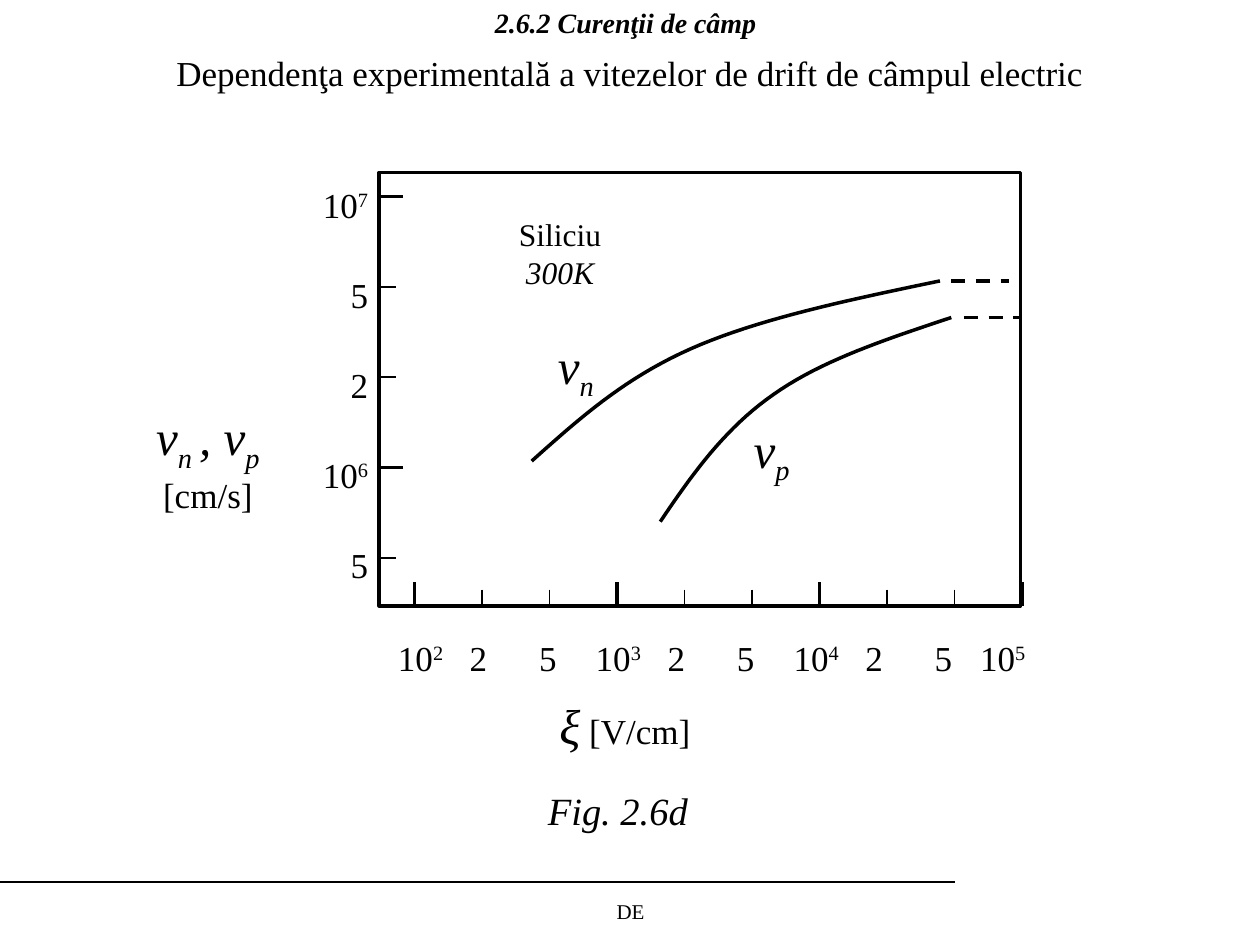
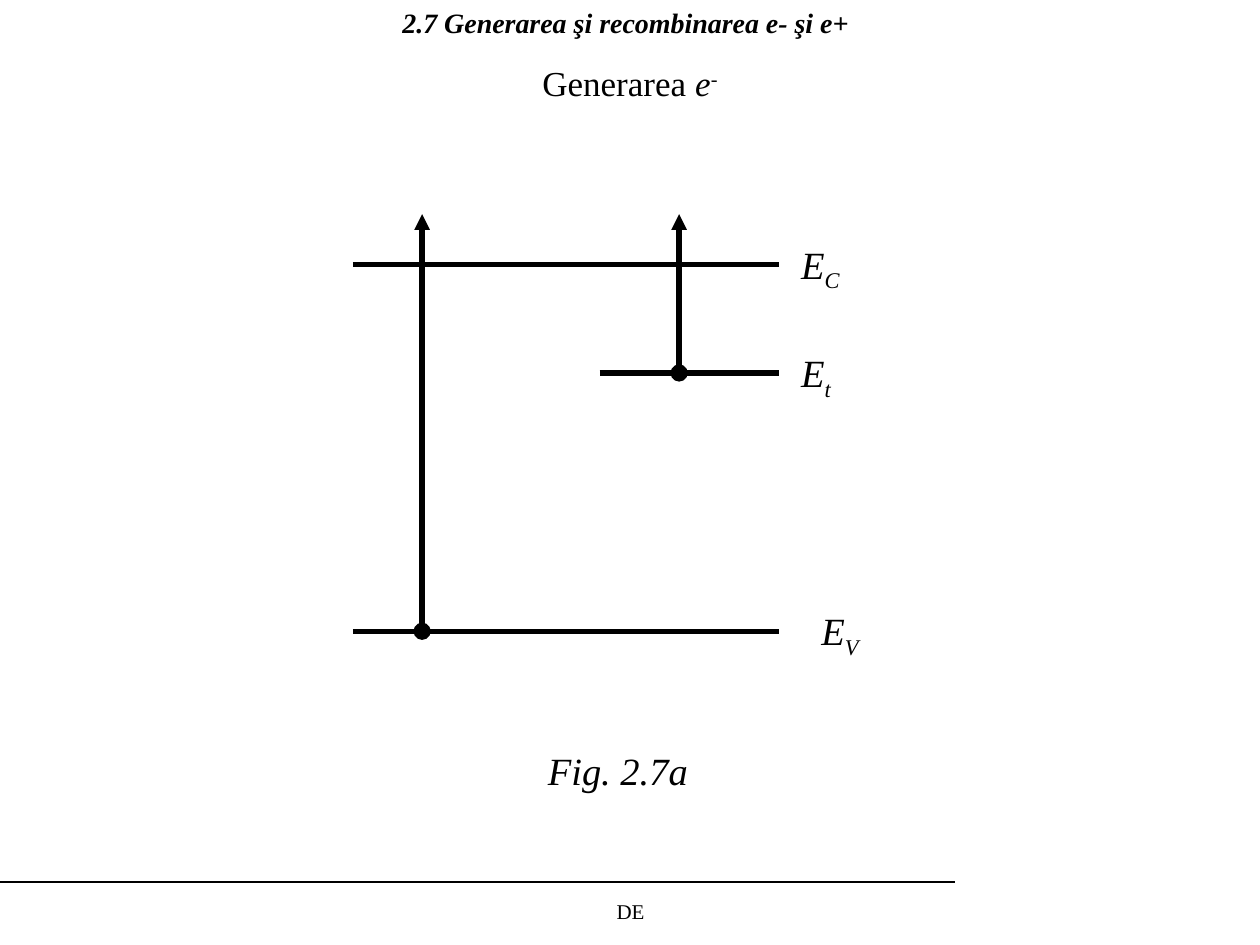
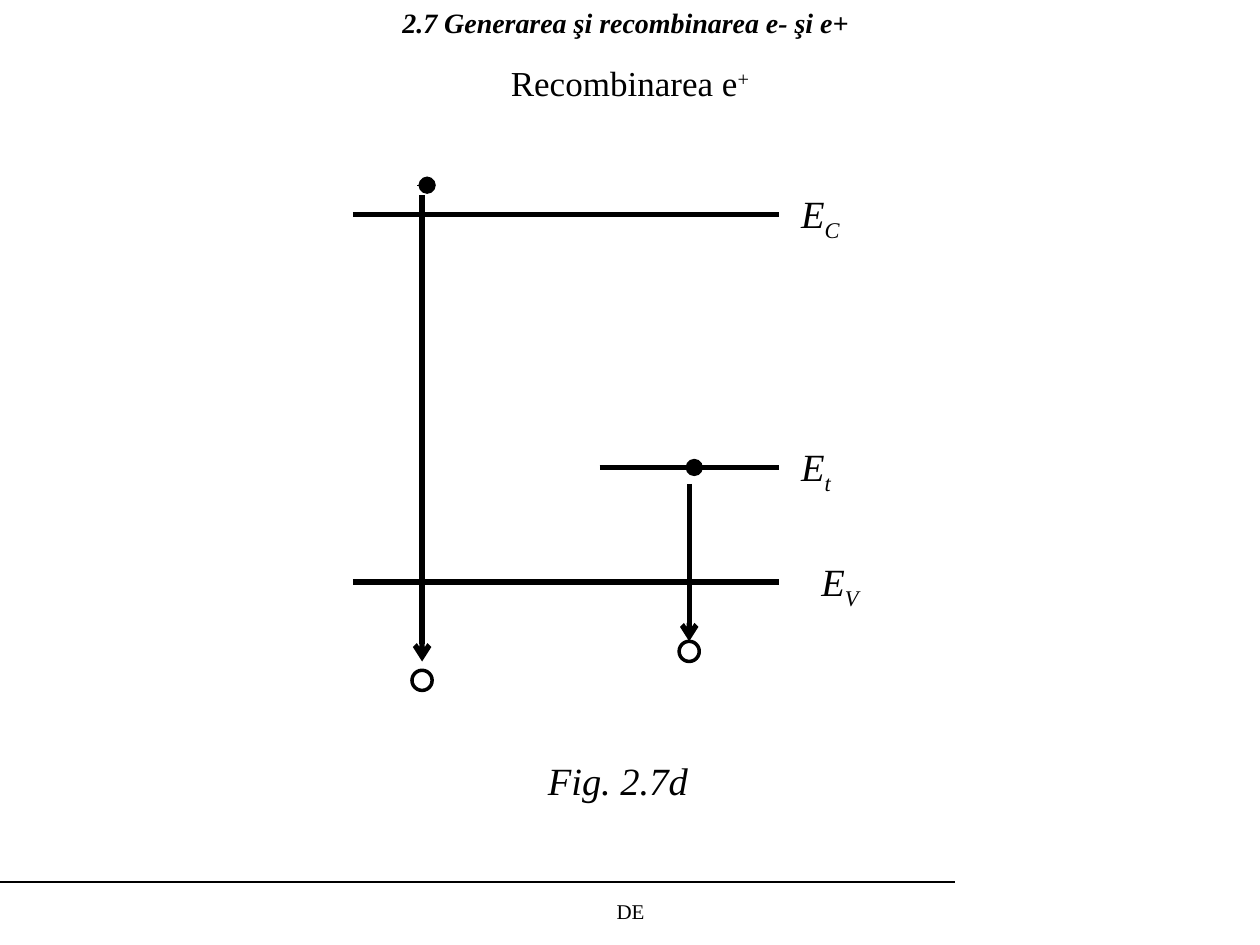
import dataclasses
import typing

import lxml.etree
import pptx
import pptx.dml.color
import pptx.enum.dml
import pptx.enum.shapes
import pptx.enum.text
import pptx.oxml.ns
import pptx.util

Inches = pptx.util.Inches
Pt = pptx.util.Pt
ALIGN = pptx.enum.text.PP_ALIGN
Point = tuple[float, float]


@dataclasses.dataclass(frozen=True)
class Theme:
    font: str = "Times New Roman"
    ink: pptx.dml.color.RGBColor = pptx.dml.color.RGBColor(0, 0, 0)
    paper: pptx.dml.color.RGBColor = pptx.dml.color.RGBColor(255, 255, 255)
    footer: int = 12
    title: int = 16
    note: int = 18
    text: int = 20
    figure: int = 22
    symbol: int = 28
    hairline: float = 0.75
    thin: float = 1
    medium: float = 2
    thick: float = 3


THEME = Theme()
SUPERSCRIPT, SUBSCRIPT = 30, -25


@dataclasses.dataclass(frozen=True)
class Span:
    text: str
    baseline: int = 0
    size: int | None = None
    italic: bool | None = None


@dataclasses.dataclass(frozen=True)
class Label:
    """A text box; each entry of lines is one paragraph of spans."""
    left: float
    top: float
    width: float
    height: float
    lines: tuple[tuple[Span, ...], ...]
    size: int = THEME.text
    italic: bool = False
    align: typing.Any = ALIGN.CENTER
    line_spacing: float = 1
    gap: float = 0
    tabs: tuple[float, ...] = ()


@dataclasses.dataclass(frozen=True)
class Line:
    start: Point
    end: Point
    width: float = THEME.thick
    tail: str = ""
    tail_size: str = "med"
    dashed: bool = False


@dataclasses.dataclass(frozen=True)
class Level:
    """An energy level with its name to the right."""
    left: float
    y: float
    index: str
    label_left: float = 6.26


# Shared drawing
def style_font(font, size: int, italic: bool, bold: bool = False) -> None:
    font.name = THEME.font
    font.size = Pt(size)
    font.italic = italic
    font.bold = bold
    font.color.rgb = THEME.ink


def add_tabs(para, stops: tuple[float, ...]) -> None:
    tab_list = lxml.etree.SubElement(para._p.get_or_add_pPr(), pptx.oxml.ns.qn("a:tabLst"))
    for stop in stops:
        lxml.etree.SubElement(tab_list, pptx.oxml.ns.qn("a:tab"),
                              pos=str(Inches(stop)), algn="l")


def draw_label(page, label: Label) -> None:
    box = page.shapes.add_textbox(Inches(label.left), Inches(label.top),
                                  Inches(label.width), Inches(label.height))
    frame = box.text_frame
    frame.word_wrap = True
    for index, spans in enumerate(label.lines):
        para = frame.add_paragraph() if index else frame.paragraphs[0]
        para.alignment = label.align
        para.line_spacing = label.line_spacing
        if index and label.gap:
            para.space_before = Pt(label.gap)
        if label.tabs:
            add_tabs(para, label.tabs)
        style_font(para.font, label.size, label.italic)
        for span in spans:
            run = para.add_run()
            run.text = span.text
            if span.size:
                run.font.size = Pt(span.size)
            if span.italic is not None:
                run.font.italic = span.italic
            if span.baseline:
                run.font._element.set("baseline", str(span.baseline * 1000))


def draw_line(page, line: Line) -> None:
    connector = page.shapes.add_connector(
        pptx.enum.shapes.MSO_CONNECTOR.STRAIGHT,
        *(Inches(value) for value in line.start + line.end))
    connector.line.color.rgb = THEME.ink
    connector.line.width = Pt(line.width)
    if line.dashed:
        connector.line.dash_style = pptx.enum.dml.MSO_LINE.DASH
    if line.tail:
        lxml.etree.SubElement(connector.line._get_or_add_ln(), pptx.oxml.ns.qn("a:tailEnd"),
                              type=line.tail, w=line.tail_size, len=line.tail_size)
    lxml.etree.SubElement(connector._element.spPr, pptx.oxml.ns.qn("a:effectLst"))


def draw_outline(shape, filled: bool = False) -> None:
    shape.shadow.inherit = False
    if filled:
        shape.fill.solid()
        shape.fill.fore_color.rgb = THEME.paper
    else:
        shape.fill.background()
    shape.line.color.rgb = THEME.ink
    shape.line.width = Pt(THEME.medium)


def add_page(deck, title: str, subtitle: Label, figure: str, figure_top: float):
    page = deck.slides.add_slide(deck.slide_layouts[5])
    box = page.shapes.title
    box.left, box.top, box.width, box.height = (
        Inches(value) for value in (0.32, 0, 9.29, 0.36))
    frame = box.text_frame
    frame.text = title
    frame.auto_size = pptx.enum.text.MSO_AUTO_SIZE.NONE
    frame.vertical_anchor = pptx.enum.text.MSO_ANCHOR.MIDDLE
    para = frame.paragraphs[0]
    para.alignment = ALIGN.CENTER
    style_font(para.font, THEME.title, italic=True, bold=True)

    draw_line(page, Line((0, 7), (7.58, 7), THEME.hairline))
    draw_label(page, Label(3.42, 7.08, 3.17, 0.27, ((Span("DE"),),), THEME.footer))
    draw_label(page, subtitle)
    draw_label(page, Label(4.25, figure_top, 1.49, 0.47, ((Span(figure),),),
                           THEME.figure, italic=True, align=ALIGN.LEFT))
    return page


# Drift velocity graph
PLOT_LEFT, PLOT_TOP, PLOT_WIDTH, PLOT_HEIGHT = 3.01, 1.37, 5.09, 3.44
PLOT_BOTTOM = PLOT_TOP + PLOT_HEIGHT


def power(exponent: str) -> tuple[Span, Span]:
    return Span("10"), Span(exponent, SUPERSCRIPT)


def draw_ticks(page) -> None:
    """Every third tick is a decade, drawn longer and heavier."""
    for index in range(10):
        major = index % 3 == 0
        width = THEME.medium if major else THEME.thin
        x = 3.29 + index * 4.82 / 9
        draw_line(page, Line((x, PLOT_BOTTOM - (0.19 if major else 0.13)),
                             (x, PLOT_BOTTOM), width))
        if index < 5:
            y = 1.56 + index * 2.87 / 4
            draw_line(page, Line((PLOT_LEFT + (0.19 if major else 0.13), y),
                                 (PLOT_LEFT, y), width))


def draw_curve(page, knots: tuple[Point, ...], steps: int = 20) -> None:
    """Draw joined cubic curves: a start, then three points for each curve."""
    points = []
    for first in range(0, len(knots) - 1, 3):
        a, b, c, d = knots[first:first + 4]
        for step in range(1, steps + 1):
            t = step / steps
            u = 1 - t
            points.append(tuple(
                Inches(u**3 * a[k] + 3 * u * u * t * b[k] + 3 * u * t * t * c[k] + t**3 * d[k])
                for k in (0, 1)))
    builder = page.shapes.build_freeform(Inches(knots[0][0]), Inches(knots[0][1]))
    builder.add_line_segments(points, close=False)
    draw_outline(builder.convert_to_shape())


def axis_labels() -> tuple[Label, Label]:
    spans: list[Span] = []
    tabs: list[float] = []
    for decade, exponent in enumerate("234"):
        spans += [Span("\t10"), Span(exponent, SUPERSCRIPT), Span("\t2\t5")]
        tabs += [decade * 1.57 + offset for offset in (0.14, 0.71, 1.26)]
    spans += [Span("\t10"), Span("5", SUPERSCRIPT)]
    field = Label(2.92, 5, 5.47, 0.44, (tuple(spans),), align=ALIGN.LEFT,
                  tabs=(*tabs, 4.76))
    velocity = Label(2.09, 1.39, 0.93, 3.25,
                     (power("7"), (Span("5"),), (Span("2"),), power("6"), (Span("5"),)),
                     align=ALIGN.RIGHT, line_spacing=1.05, gap=26.15)
    return field, velocity


def build_drift_page(deck) -> None:
    page = add_page(
        deck, "2.6.2 Curenţii de câmp",
        Label(0, 0.36, 10, 0.77,
              ((Span("Dependenţa experimentală a vitezelor de drift de câmpul electric"),),)),
        "Fig. 2.6d", 6.2)
    plot = page.shapes.add_shape(
        pptx.enum.shapes.MSO_SHAPE.RECTANGLE, Inches(PLOT_LEFT), Inches(PLOT_TOP),
        Inches(PLOT_WIDTH), Inches(PLOT_HEIGHT))
    draw_outline(plot)
    draw_ticks(page)

    # Measured curves and their saturated ends
    draw_curve(page, ((4.22, 3.66), (4.58, 3.34), (4.94, 3.01), (5.48, 2.77),
                      (6.02, 2.53), (6.74, 2.38), (7.46, 2.23)))
    draw_curve(page, ((5.24, 4.14), (5.49, 3.77), (5.75, 3.4), (6.14, 3.13),
                      (6.52, 2.86), (7.04, 2.69), (7.55, 2.52)))
    for x, y in ((7.55, 2.23), (7.65, 2.52)):
        draw_line(page, Line((x, y), (x + 0.46, y), THEME.medium, dashed=True))

    # Names of axes and curves
    nu = Span("ν")
    labels = (
        *axis_labels(),
        Label(4.29, 5.47, 1.34, 0.57,
              ((Span("ξ", italic=True), Span(" [V/cm]", size=THEME.text)),), THEME.symbol),
        Label(0.98, 3.18, 1.34, 0.97,
              ((nu, Span("n ", SUBSCRIPT), Span(", ν"), Span("p", SUBSCRIPT)),
               (Span("[cm/s]", size=THEME.text, italic=False),)),
              THEME.symbol, italic=True),
        Label(3.66, 1.66, 1.57, 0.7,
              ((Span("Siliciu"),), (Span("300K", italic=True),)), THEME.note),
        Label(4.06, 2.61, 1.02, 0.63, ((nu, Span("n", SUBSCRIPT)),),
              THEME.symbol, italic=True),
        Label(5.71, 3.28, 0.83, 0.63, ((nu, Span("p", SUBSCRIPT)),),
              THEME.symbol, italic=True),
    )
    for label in labels:
        draw_label(page, label)


# Energy level diagrams
def draw_level(page, level: Level) -> None:
    draw_line(page, Line((level.left, level.y), (6.18, level.y)))
    draw_label(page, Label(level.label_left, level.y - 0.24, 1.49, 0.52,
                           ((Span("E"), Span(level.index, SUBSCRIPT)),),
                           THEME.figure, italic=True, align=ALIGN.LEFT))


def draw_electron(page, x: float, y: float) -> None:
    draw_line(page, Line((x - 0.08, y), (x, y), THEME.hairline, "oval", "lg"))


def draw_hole(page, x: float, top: float) -> None:
    hole = page.shapes.add_shape(pptx.enum.shapes.MSO_SHAPE.OVAL, Inches(x - 0.08),
                                 Inches(top), Inches(0.16), Inches(0.16))
    draw_outline(hole, filled=True)


def build_level_page(deck, process: tuple[Span, ...], figure: str, figure_top: float,
                     conduction: float, trap: float, valence: float):
    page = add_page(deck, "2.7 Generarea şi recombinarea e- şi e+",
                    Label(0, 0.44, 10, 0.44, (process,)), figure, figure_top)
    for level in (Level(2.8, conduction, "C"), Level(4.76, trap, "t"),
                  Level(2.8, valence, "V", 6.42)):
        draw_level(page, level)
    return page


def build_generation_page(deck) -> None:
    page = build_level_page(
        deck, (Span("Generarea "), Span("e", italic=True),
               Span("-", SUPERSCRIPT, italic=True)),
        "Fig. 2.7a", 5.88, conduction=2.1, trap=2.96, valence=5.01)
    for x, y in ((3.35, 5.01), (5.39, 2.96)):
        draw_line(page, Line((x, y), (x, 1.7), tail="triangle"))
        draw_electron(page, x, y)


def build_recombination_page(deck) -> None:
    page = build_level_page(
        deck, (Span("Recombinarea e"), Span("+", SUPERSCRIPT)),
        "Fig. 2.7d", 5.96, conduction=1.7, trap=3.71, valence=4.62)
    for x, electron, start, end, hole in ((3.35, 1.47, 1.55, 5.25, 5.32),
                                          (5.47, 3.71, 3.84, 5.09, 5.09)):
        draw_line(page, Line((x, start), (x, end), tail="arrow"))
        draw_electron(page, x + 0.04, electron)
        draw_hole(page, x, hole)


def main() -> None:
    deck = pptx.Presentation()
    deck.slide_width, deck.slide_height = Inches(10), Inches(7.5)
    build_drift_page(deck)
    build_generation_page(deck)
    build_recombination_page(deck)
    deck.save("out.pptx")


if __name__ == "__main__":
    main()
